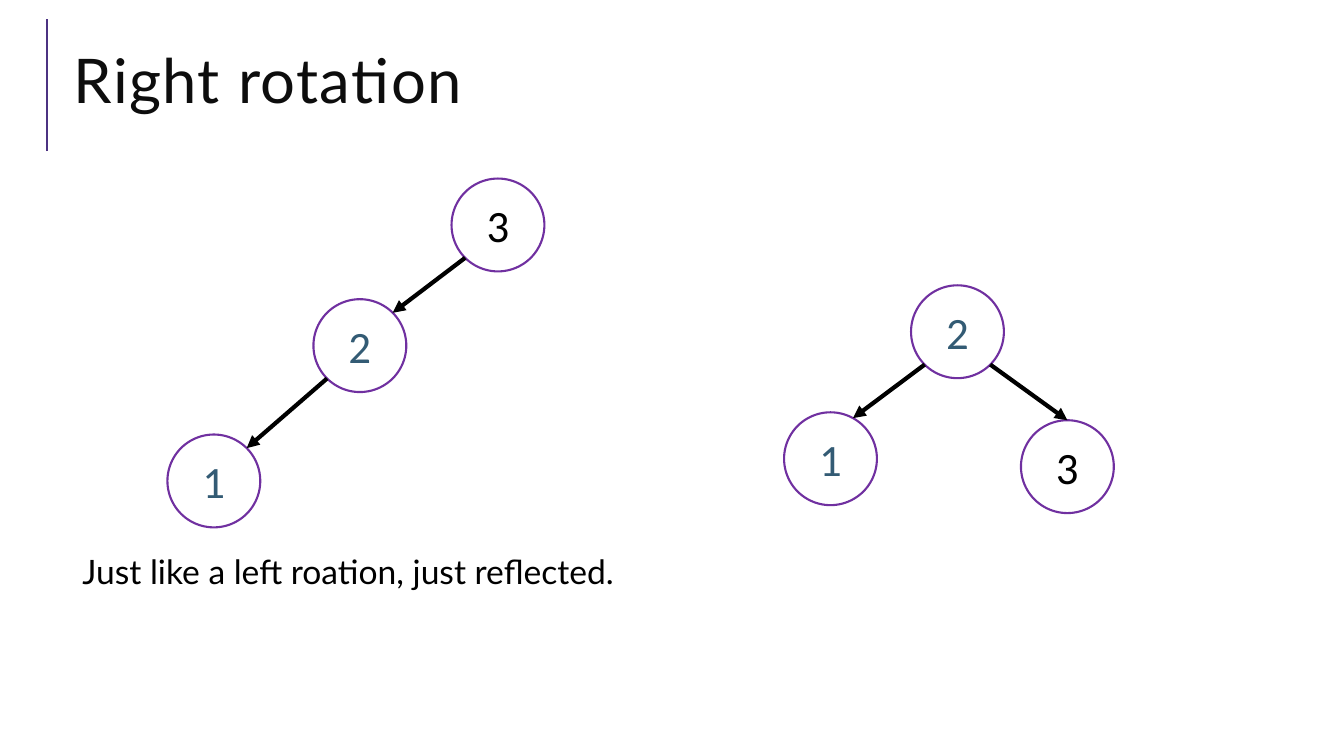
import math

from lxml import etree
from pptx import Presentation
from pptx import util as u
from pptx.dml.color import RGBColor
from pptx.enum import shapes, text
from pptx.oxml.ns import qn

# Content
TITLE = "Right rotation"
CAPTION = "Just like a left roation, just reflected."
BLUE, BLACK, PURPLE = "335B74", "000000", "7030A0"
NODE_COLORS = {"1": BLUE, "2": BLUE, "3": BLACK}

# Each tree: nodes as label -> (left, top) in cm, and edges as
# (parent, child, angle leaving parent, angle reaching child) in degrees
TREES = [
    {"nodes": {"1": (4.22, 10.95), "2": (7.9, 7.54), "3": (11.38, 4.5)},
     "edges": [("2", "1", 225, 45), ("3", "2", 225, 45)]},
    {"nodes": {"1": (19.76, 10.39), "2": (22.96, 7.19), "3": (25.73, 10.59)},
     "edges": [("2", "1", 225, 61), ("2", "3", 315, 90)]},
]
DIAMETER = 2.34


def color(hex_string):
    return RGBColor.from_string(hex_string)


def write(shape, words, size, font, ink, align=text.PP_ALIGN.LEFT,
          anchor=text.MSO_ANCHOR.MIDDLE, line_spacing=None, tracking=None):
    frame = shape.text_frame
    frame.word_wrap = True
    frame.vertical_anchor = anchor
    paragraph = frame.paragraphs[0]
    paragraph.alignment = align
    paragraph.line_spacing = line_spacing
    run = paragraph.add_run()
    run.text = words
    run.font.size = u.Pt(size)
    run.font.name = font
    run.font.color.rgb = color(ink)
    if tracking:
        run.font._element.set("spc", str(tracking * 100))


def add_line(slide, start, end, ink, width, arrow=False):
    points = [u.Cm(value) for value in (*start, *end)]
    line = slide.shapes.add_connector(shapes.MSO_CONNECTOR.STRAIGHT, *points)
    line.line.color.rgb = color(ink)
    line.line.width = u.Pt(width)
    if arrow:
        etree.SubElement(line.line._get_or_add_ln(), qn("a:tailEnd"), type="triangle")
    etree.SubElement(line._element.spPr, qn("a:effectLst"))


def add_node(slide, label, left, top):
    node = slide.shapes.add_shape(shapes.MSO_SHAPE.OVAL, u.Cm(left), u.Cm(top),
                                  u.Cm(DIAMETER), u.Cm(DIAMETER))
    node.shadow.inherit = False
    node.fill.solid()
    node.fill.fore_color.rgb = color("FFFFFF")
    node.line.color.rgb = color(PURPLE)
    node.line.width = u.Pt(1.5)
    write(node, label, 32, "Calibri", NODE_COLORS[label], align=text.PP_ALIGN.CENTER)


def rim_point(corner, degrees):
    """Point on a node's rim, counter-clockwise from the right."""
    radius, angle = DIAMETER / 2, math.radians(degrees)
    return (corner[0] + radius * (1 + math.cos(angle)),
            corner[1] + radius * (1 - math.sin(angle)))


def main():
    presentation = Presentation()
    presentation.slide_width = u.Cm(33.87)
    presentation.slide_height = u.Cm(19.05)
    slide = presentation.slides.add_slide(presentation.slide_layouts[5])

    # Title with its side rule
    add_line(slide, (1.19, 3.81), (1.19, 0.48), "4C3282", 1.5)
    title = slide.shapes.title
    title.left, title.top = u.Cm(1.6), u.Cm(0.74)
    title.width, title.height = u.Cm(31.06), u.Cm(2.82)
    write(title, TITLE, 44, "Lato", "0D0D0D", line_spacing=0.8, tracking=1)

    # Trees before and after the rotation
    for tree in TREES:
        nodes = tree["nodes"]
        for label, corner in nodes.items():
            add_node(slide, label, *corner)
        for parent, child, leaving, reaching in tree["edges"]:
            add_line(slide, rim_point(nodes[parent], leaving),
                     rim_point(nodes[child], reaching), BLACK, 3, arrow=True)

    # Caption
    caption = slide.shapes.add_textbox(u.Cm(1.83), u.Cm(13.77), u.Cm(30.56), u.Cm(1.27))
    write(caption, CAPTION, 24, "Lato", BLACK, anchor=text.MSO_ANCHOR.TOP)

    presentation.save("out.pptx")


if __name__ == "__main__":
    main()
